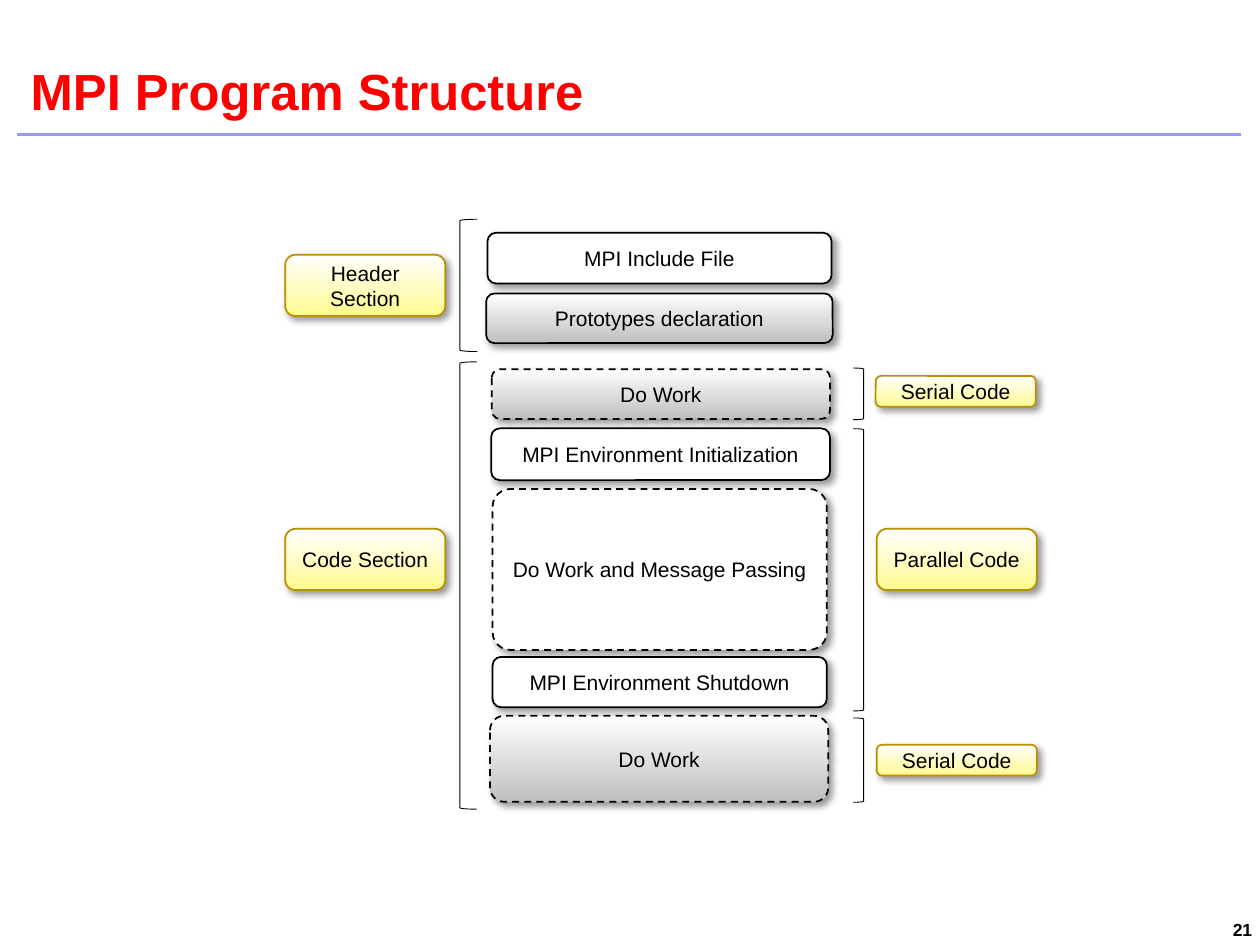
"""Build a slide that shows the structure of an MPI program."""
from lxml import etree
from pptx import Presentation
from pptx.dml.color import RGBColor
from pptx.enum.dml import MSO_LINE
from pptx.enum.shapes import MSO_CONNECTOR, MSO_SHAPE
from pptx.enum.text import MSO_ANCHOR, PP_ALIGN
from pptx.oxml.ns import qn
from pptx.util import Pt

ROUNDED = MSO_SHAPE.ROUNDED_RECTANGLE
LEFT_BRACKET, RIGHT_BRACKET = MSO_SHAPE.LEFT_BRACKET, MSO_SHAPE.RIGHT_BRACKET
STRAIGHT = MSO_CONNECTOR.STRAIGHT
DASH, SOLID = MSO_LINE.DASH, MSO_LINE.SOLID
LEFT, CENTER, RIGHT = PP_ALIGN.LEFT, PP_ALIGN.CENTER, PP_ALIGN.RIGHT
TOP, MIDDLE, BOTTOM = MSO_ANCHOR.TOP, MSO_ANCHOR.MIDDLE, MSO_ANCHOR.BOTTOM
BLACK, WHITE, GRAY = "000000", "FFFFFF", "BFBFBF"
YELLOW, GOLD, RED, RULE_BLUE = "FFFA8F", "BC8F00", "FF0000", "939DFC"


def rgb(value):
    return RGBColor.from_string(value)


def write(frame, lines, size, color, align, anchor, bold=False):
    frame.word_wrap = True
    frame.vertical_anchor = anchor
    for index, line in enumerate(lines):
        paragraph = frame.add_paragraph() if index else frame.paragraphs[0]
        paragraph.alignment = align
        run = paragraph.add_run()
        run.text = line
        run.font.name = "Arial"
        run.font.size = Pt(size)
        run.font.bold = bold
        run.font.color.rgb = rgb(color)


deck = Presentation()
deck.slide_width, deck.slide_height = Pt(720), Pt(540)
slide = deck.slides.add_slide(deck.slide_layouts[6])
shapes = slide.shapes

rule = shapes.add_connector(STRAIGHT, Pt(10), Pt(77), Pt(709), Pt(77))
rule.line.color.rgb = rgb(RULE_BLUE)
rule.line.width = Pt(1.75)
etree.SubElement(rule._element.spPr, qn("a:effectLst"))

# text, size, color, alignment, anchor, box, insets
for text, size, color, align, anchor, box, insets in [
    ("MPI Program Structure", 29, RED, LEFT, BOTTOM, (13, 0, 696, 69), (4.5, 1.5, 0, 0)),
    ("21", 10, BLACK, RIGHT, TOP, (655, 525, 65, 13), (0, 0, 4.5, 4.5)),
]:
    frame = shapes.add_textbox(*map(Pt, box)).text_frame
    frame.margin_left, frame.margin_top, frame.margin_right, frame.margin_bottom = map(Pt, insets)
    write(frame, [text], size, color, align, anchor, bold=True)

brackets = [
    (LEFT_BRACKET, 262.8, 125.3, 10, 75.6),
    (LEFT_BRACKET, 262.8, 206.8, 9.5, 255.6),
    (RIGHT_BRACKET, 487.5, 210.3, 6, 29.5),
    (RIGHT_BRACKET, 487.5, 245, 6, 161.3),
    (RIGHT_BRACKET, 487.5, 410.3, 6, 48.2),
]
for kind, *box in brackets:
    bracket = shapes.add_shape(kind, *map(Pt, box))
    bracket.shadow.inherit = False
    bracket.fill.background()
    bracket.line.color.rgb = rgb(BLACK)
    bracket.line.width = Pt(0.5)

steps = [
    (["MPI Include File"], 278.6, 133, 196.6, 29, WHITE, BLACK, SOLID),
    (["Prototypes declaration"], 277.8, 167.7, 198, 28.4, GRAY, BLACK, SOLID),
    (["Do Work"], 281, 211, 193.3, 28.4, GRAY, BLACK, DASH),
    (["MPI Environment Initialization"], 280.7, 244.8, 193.6, 29.6, WHITE, BLACK, SOLID),
    (["Do Work and Message Passing"], 281.5, 279.4, 191, 92, WHITE, BLACK, DASH),
    (["MPI Environment Shutdown"], 281.5, 375.4, 191, 28.8, WHITE, BLACK, SOLID),
    (["Do Work"], 280, 409, 193.3, 49.2, GRAY, BLACK, DASH),
]
labels = [
    (["Header", "Section"], 163, 145.6, 35),
    (["Code Section"], 163, 302.2, 35),
    (["Serial Code"], 500.4, 214.8, 17.6),
    (["Parallel Code"], 501, 302.2, 35),
    (["Serial Code"], 501, 425.6, 17.6),
]
blocks = steps + [
    (lines, left, top, 91.5, height, YELLOW, GOLD, SOLID)
    for lines, left, top, height in labels
]
for lines, left, top, width, height, shade, outline, dash in blocks:
    block = shapes.add_shape(ROUNDED, Pt(left), Pt(top), Pt(width), Pt(height))
    if height > 90:
        block.adjustments[0] = 0.11
    if shade == WHITE:
        block.fill.solid()
        block.fill.fore_color.rgb = rgb(WHITE)
    else:
        block.fill.gradient()
        block.fill.gradient_angle = 270
        for stop, color in zip(block.fill.gradient_stops, (WHITE, shade)):
            stop.color.rgb = rgb(color)
    block.line.color.rgb = rgb(outline)
    block.line.width = Pt(1)
    block.line.dash_style = dash
    block.shadow.inherit = False
    effects = block._element.spPr.find(qn("a:effectLst"))
    shadow = etree.SubElement(
        effects, qn("a:outerShdw"), blurRad=str(Pt(4)), dist=str(Pt(3)),
        dir="2700000", algn="tl", rotWithShape="0")
    tint = etree.SubElement(shadow, qn("a:srgbClr"), val=BLACK)
    etree.SubElement(tint, qn("a:alpha"), val="40000")
    write(block.text_frame, lines, 12, BLACK, CENTER, MIDDLE)

deck.save("out.pptx")
